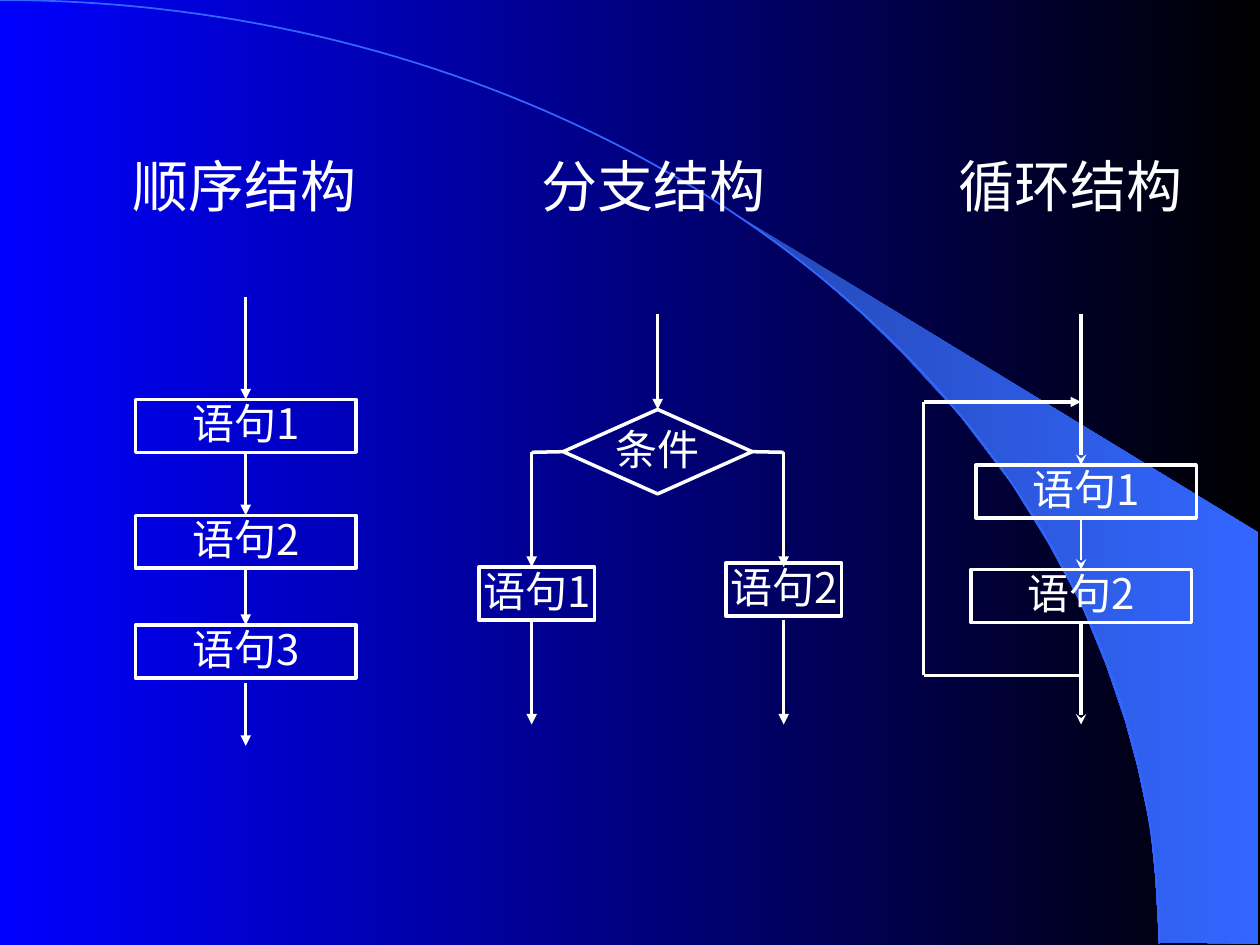
from math import cos, pi, sin

from lxml import etree
from pptx import Presentation
from pptx.dml.color import RGBColor
from pptx.enum.shapes import MSO_CONNECTOR, MSO_SHAPE
from pptx.enum.text import MSO_ANCHOR, PP_ALIGN
from pptx.oxml.ns import qn
from pptx.util import Inches, Pt

STRAIGHT = MSO_CONNECTOR.STRAIGHT
RECTANGLE = MSO_SHAPE.RECTANGLE
DECISION = MSO_SHAPE.FLOWCHART_DECISION
MIDDLE = MSO_ANCHOR.MIDDLE
CENTER = PP_ALIGN.CENTER

WHITE = "FFFFFF"
BLUE = "3366FF"
TOP, LEFT, BOTTOM, RIGHT = range(4)
BOX_HEIGHT = 0.42
WIDE, NARROW = 1.75, 0.92

BEAM = [
    (9.2, 7.48), (9.99, 7.49), (9.99, 4.23), (5.89, 1.73), (6.24, 1.99),
    (6.53, 2.22), (6.85, 2.5), (7.16, 2.8), (7.62, 3.3), (8.03, 3.84),
    (8.32, 4.31), (8.58, 4.79), (8.78, 5.28), (8.93, 5.72), (9.03, 6.09),
    (9.13, 6.56), (9.17, 6.96),
]


def color(value):
    return RGBColor.from_string(value)


def fill_gradient(fill, start, end):
    fill.gradient()
    fill.gradient_angle = 0
    for stop, value in zip(fill.gradient_stops, (start, end)):
        stop.color.rgb = color(value)


def add_outline(slide, points, close):
    builder = slide.shapes.build_freeform(
        Inches(points[0][0]), Inches(points[0][1]), scale=1.0)
    builder.add_line_segments(
        [(Inches(x), Inches(y)) for x, y in points[1:]], close=close)
    shape = builder.convert_to_shape()
    shape.shadow.inherit = False
    return shape


def add_backdrop(slide):
    """Gradient background, the light beam and the quarter ellipse."""
    fill_gradient(slide.background.fill, "0000FF", "000000")
    beam = add_outline(slide, BEAM, True)
    fill_gradient(beam.fill, "2449B6", BLUE)
    beam.line.fill.background()

    steps = 90
    angles = [pi / 2 * step / steps for step in range(steps + 1)]
    arc = add_outline(
        slide, [(9.2 * sin(a), 7.49 * (1 - cos(a))) for a in angles], False)
    arc.fill.background()
    arc.line.color.rgb = color(BLUE)
    arc.line.width = Pt(1)


def write_text(frame, text, size, font_name):
    paragraph = frame.paragraphs[0]
    paragraph.text = text
    paragraph.alignment = CENTER
    paragraph.font.size = Pt(size)
    paragraph.font.name = font_name
    paragraph.font.color.rgb = color(WHITE)


def add_heading(slide, center, text):
    width = 2.3
    box = slide.shapes.add_textbox(
        Inches(center - width / 2), Inches(1.15), Inches(width), Inches(0.58))
    box.text_frame.word_wrap = True
    write_text(box.text_frame, text, 32, "Times New Roman")


def add_step(slide, text, center, top, width, height=BOX_HEIGHT, kind=RECTANGLE):
    shape = slide.shapes.add_shape(
        kind, Inches(center - width / 2), Inches(top), Inches(width), Inches(height))
    shape.shadow.inherit = False
    shape.fill.background()
    shape.line.color.rgb = color(WHITE)
    shape.line.width = Pt(2)
    frame = shape.text_frame
    frame.word_wrap = False
    frame.vertical_anchor = MIDDLE
    frame.margin_top = 0
    write_text(frame, text, 24, "Noto Sans CJK SC")
    return shape


def add_flow(slide, start, end, head="triangle", width=2):
    """Each end is a point in inches or a (shape, side) pair to join."""
    connector = slide.shapes.add_connector(STRAIGHT, 0, 0, 0, 0)
    if isinstance(start[0], (int, float)):
        connector.begin_x, connector.begin_y = map(Inches, start)
    else:
        connector.begin_connect(*start)
    if isinstance(end[0], (int, float)):
        connector.end_x, connector.end_y = map(Inches, end)
    else:
        connector.end_connect(*end)
    connector.line.color.rgb = color(WHITE)
    connector.line.width = Pt(width)
    properties = connector._element.spPr
    if head:
        line = properties.find(qn("a:ln"))
        etree.SubElement(line, qn("a:tailEnd"), type=head)
    etree.SubElement(properties, qn("a:effectLst"))


def add_sequence(slide):
    center = 1.95
    add_heading(slide, 1.94, "顺序结构")
    steps = [add_step(slide, f"语句{number}", center, top, WIDE)
             for number, top in enumerate((3.17, 4.09, 4.96), 1)]
    add_flow(slide, (center, 2.36), (steps[0], TOP))
    for upper, lower in zip(steps, steps[1:]):
        add_flow(slide, (upper, BOTTOM), (lower, TOP))
    add_flow(slide, (center, 5.42), (center, 5.92))


def add_branch(slide):
    center, middle = 5.22, 3.59
    add_heading(slide, 5.19, "分支结构")
    condition = add_step(slide, "条件", center, 3.25, 1.5, 0.67, DECISION)
    add_flow(slide, (center, 2.49), (condition, TOP))
    branches = (
        ("语句1", 4.26, 4.5, 4.22, LEFT),
        ("语句2", 6.22, 4.47, 6.22, RIGHT),
    )
    for text, box_center, top, x, side in branches:
        add_step(slide, text, box_center, top, NARROW)
        add_flow(slide, (condition, side), (x, middle), head=None)
        add_flow(slide, (x, middle), (x, 4.5))
        add_flow(slide, (x, 4.92), (x, 5.75))


def add_loop(slide):
    center, back, entry, leave = 8.58, 7.33, 3.19, 5.36
    add_heading(slide, 8.5, "循环结构")
    add_step(slide, "语句1", 8.62, 3.69, WIDE)
    last = add_step(slide, "语句2", center, 4.52, WIDE)
    add_flow(slide, (center, 2.49), (center, 3.69), "stealth")
    add_flow(slide, (center, 4.11), (last, TOP), "stealth", 1)
    add_flow(slide, (last, BOTTOM), (center, 5.75), "stealth")
    add_flow(slide, (center, leave), (back, leave), head=None)
    add_flow(slide, (back, leave), (back, entry), head=None)
    add_flow(slide, (back, entry), (center, entry))


def main():
    presentation = Presentation()
    presentation.slide_width = Inches(10)
    presentation.slide_height = Inches(7.5)
    slide = presentation.slides.add_slide(presentation.slide_layouts[6])
    add_backdrop(slide)
    add_sequence(slide)
    add_branch(slide)
    add_loop(slide)
    presentation.save("out.pptx")


if __name__ == "__main__":
    main()
